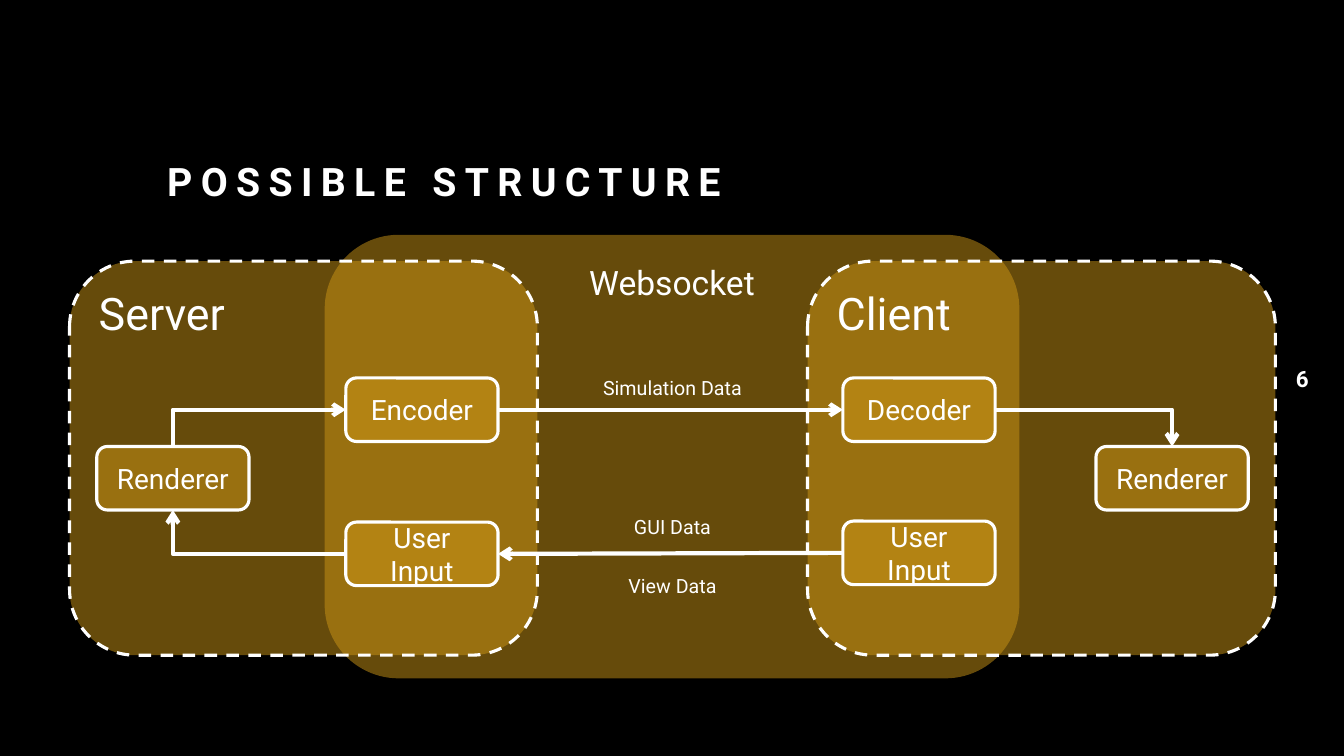
from lxml import etree
from pptx import Presentation
from pptx import util as u
from pptx.dml.color import RGBColor
from pptx.enum import dml, shapes, text
from pptx.oxml import ns

PX = 9144
TOP, LEFT, BOTTOM, RIGHT = range(4)


def paint(target, color):
    target.solid()
    target.fore_color.rgb = RGBColor.from_string(color)


def write(shape, words, size=20, color="FFFFFF", font="Roboto", bold=False, align="CENTER",
          anchor="MIDDLE", line_spacing=None, tracking=0):
    frame = shape.text_frame
    frame.word_wrap = True
    frame.vertical_anchor = getattr(text.MSO_ANCHOR, anchor)
    paragraph = frame.paragraphs[0]
    paragraph.alignment = getattr(text.PP_ALIGN, align)
    if line_spacing:
        paragraph.line_spacing = line_spacing
    run = paragraph.add_run()
    run.text = words
    run.font.name = font
    run.font.size = u.Pt(size)
    run.font.bold = bold
    paint(run.font.fill, color)
    if tracking:
        run.font._element.set("spc", str(tracking * 100))


class Diagram:
    """Draws boxes, labels and arrows on one slide in a shared style."""

    gold = "CD9616"
    white = "FFFFFF"

    def __init__(self, slide):
        self.slide = slide

    def box(self, words, left, top, width, height, border=True, dashed=False, **style):
        shape = self.slide.shapes.add_shape(
            shapes.MSO_SHAPE.ROUNDED_RECTANGLE, *(n * PX for n in (left, top, width, height)))
        shape.shadow.inherit = False
        paint(shape.fill, self.gold)
        tint = shape._element.spPr.find(".//" + ns.qn("a:srgbClr"))
        etree.SubElement(tint, ns.qn("a:alpha"), val="50000")
        if border:
            paint(shape.line.fill, self.white)
            shape.line.width = u.Pt(2.25)
            if dashed:
                shape.line.dash_style = dml.MSO_LINE.DASH
        else:
            shape.line.fill.background()
        write(shape, words, **style)
        return shape

    def node(self, words, left, top):
        return self.box(words, left, top, 151, 63)

    def label(self, words, left, top, width, height, **style):
        area = self.slide.shapes.add_textbox(*(n * PX for n in (left, top, width, height)))
        write(area, words, **style)

    def arrow(self, start, start_side, end, end_side, bent=False, arrow_at="tailEnd"):
        kind = shapes.MSO_CONNECTOR.ELBOW if bent else shapes.MSO_CONNECTOR.STRAIGHT
        link = self.slide.shapes.add_connector(kind, 0, 0, 0, 0)
        link.begin_connect(start, start_side)
        link.end_connect(end, end_side)
        properties = link._element.spPr
        if bent:
            properties.find(ns.qn("a:prstGeom")).set("prst", "bentConnector2")
        paint(link.line.fill, self.white)
        link.line.width = u.Pt(3)
        etree.SubElement(link.line._get_or_add_ln(), ns.qn("a:" + arrow_at), type="arrow")
        etree.SubElement(properties, ns.qn("a:effectLst"))


def main():
    deck = Presentation()
    deck.slide_width, deck.slide_height = 1333 * PX, 750 * PX
    slide = deck.slides.add_slide(deck.slide_layouts[6])
    paint(slide.background.fill, "000000")
    diagram = Diagram(slide)

    diagram.box("Websocket", 322, 233, 689, 440, border=False, size=24, anchor="TOP")
    diagram.label("POSSIBLE STRUCTURE", 156, 114, 1010, 94, size=28, bold=True, align="LEFT",
                  anchor="BOTTOM", line_spacing=1.2, tracking=6)

    side = dict(dashed=True, size=32, align="LEFT", anchor="TOP")
    diagram.box("Server", 69, 259, 464, 391, **side)
    server_renderer = diagram.node("Renderer", 96, 443)
    encoder = diagram.node("Encoder", 343, 375)
    server_input = diagram.node("User Input", 343, 518)

    diagram.box("Client", 801, 259, 464, 391, **side)
    decoder = diagram.node("Decoder", 836, 375)
    client_renderer = diagram.node("Renderer", 1087, 443)
    client_input = diagram.node("User Input", 836, 517)

    diagram.arrow(decoder, RIGHT, client_renderer, TOP, bent=True)
    diagram.arrow(server_input, LEFT, server_renderer, BOTTOM, bent=True)
    diagram.arrow(encoder, LEFT, server_renderer, TOP, bent=True, arrow_at="headEnd")
    diagram.arrow(encoder, RIGHT, decoder, LEFT)
    diagram.arrow(server_input, RIGHT, client_input, LEFT, arrow_at="headEnd")

    for words, top in (("Simulation Data", 368), ("GUI Data", 506), ("View Data", 564)):
        diagram.label(words, 573, top, 188, 34, size=14, anchor="TOP")
    diagram.label("6", 1257, 352, 69, 47, size=16, bold=True)

    deck.save("out.pptx")


if __name__ == "__main__":
    main()
